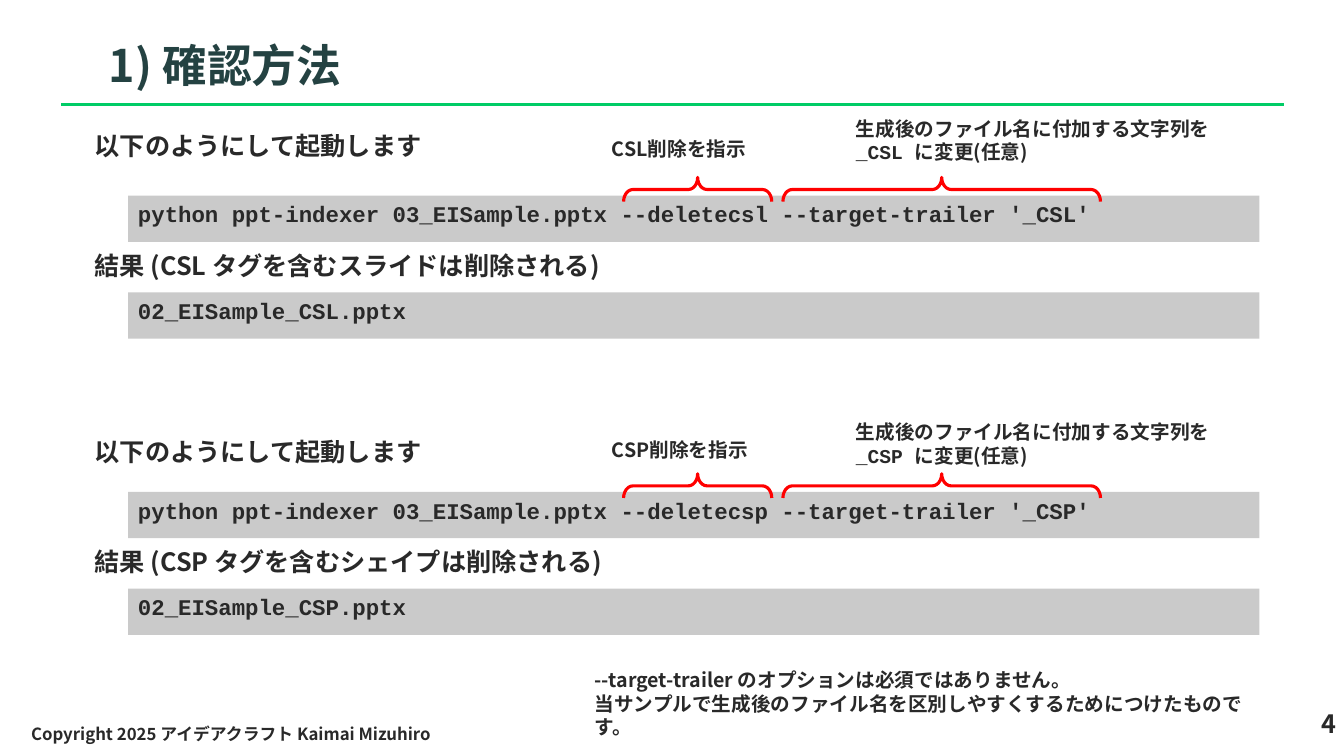
import pptx
import pptx.util
import pptx.dml.color
import pptx.enum.shapes
import pptx.enum.text
import pptx.oxml.ns
from lxml import etree
from pptx.util import Inches

COLORS = {"text": "292929", "title": "244242", "rule": "00CC66",
          "code": "CACACA", "brace": "FF0000"}
SANS, MONO = "Noto Sans CJK JP", "Courier New"
SHAPES = pptx.enum.shapes.MSO_SHAPE
ANCHOR = pptx.enum.text.MSO_ANCHOR
ALIGN = pptx.enum.text.PP_ALIGN

deck = pptx.Presentation()
deck.slide_width, deck.slide_height = Inches(13.33), Inches(7.5)
page = deck.slides.add_slide(deck.slide_layouts[6])


def color(name):
    return pptx.dml.color.RGBColor.from_string(COLORS[name])


def add_text(place, paragraphs, size, fill=None, ink="text",
             anchor=ANCHOR.TOP, align=ALIGN.LEFT):
    """Each paragraph is a list of (words, typeface) spans."""
    place = [Inches(length) for length in place]
    if fill:
        box = page.shapes.add_shape(SHAPES.RECTANGLE, *place)
        box.shadow.inherit = False
        box.fill.solid()
        box.fill.fore_color.rgb = color(fill)
        box.line.fill.background()
    else:
        box = page.shapes.add_textbox(*place)
    frame = box.text_frame
    frame.word_wrap = True
    frame.vertical_anchor = anchor
    for index, spans in enumerate(paragraphs):
        para = frame.paragraphs[0] if index == 0 else frame.add_paragraph()
        para.alignment = align
        para.font.size = pptx.util.Pt(size)
        para.font.bold = True
        para.font.color.rgb = color(ink)
        for words, typeface in spans:
            span = para.add_run()
            span.text = words
            span.font.size = pptx.util.Pt(size)
            span.font.bold = True
            span.font.color.rgb = color(ink)
            span.font.name = typeface
            east_asian = etree.SubElement(span.font._element, pptx.oxml.ns.qn("a:ea"))
            east_asian.set("typeface", SANS)


# Title and green rule
rule = page.shapes.add_connector(pptx.enum.shapes.MSO_CONNECTOR.STRAIGHT,
                                 Inches(0.61), Inches(1.04), Inches(12.73), Inches(1.04))
rule.line.color.rgb = color("rule")
rule.line.width = pptx.util.Pt(2.25)
etree.SubElement(rule._element.spPr, pptx.oxml.ns.qn("a:effectLst"))
add_text((0.98, 0.29, 11.98, 0.71), [[("1) 確認方法", SANS)]], 32,
         ink="title", anchor=ANCHOR.MIDDLE)

# One example per tag: command, result and marked options
examples = [
    # tag, what is deleted, top of command bar, tops of intro, option and trailer notes
    ("CSL", "スライド", 1.94, 1.24, 1.31, 1.11),
    ("CSP", "シェイプ", 4.88, 4.28, 4.30, 4.12),
]
for tag, target, top, intro_top, option_top, trailer_top in examples:
    command = f"python ppt-indexer 03_EISample.pptx --delete{tag.lower()} --target-trailer '_{tag}'"
    add_text((0.84, intro_top, 11.42, 0.46), [[("以下のようにして起動します", SANS)]], 18)
    add_text((1.27, top, 11.22, 0.46), [[(command, MONO)]], 16, fill="code")
    add_text((0.84, top + 0.49, 6.38, 0.46),
             [[(f"結果 ({tag} タグを含む{target}は削除される)", SANS)]], 18)
    add_text((1.27, top + 0.96, 11.22, 0.46), [[(f"02_EISample_{tag}.pptx", MONO)]], 16,
             fill="code")
    add_text((5.97, option_top, 2.2, 0.34), [[(f"{tag}削除を指示", SANS)]], 14)
    add_text((8.39, trailer_top, 3.82, 0.57),
             [[("生成後のファイル名に付加する文字列を ", SANS), (f"_{tag} ", MONO),
               ("に変更(任意)", SANS)]], 14)
    # Braces are turned upright: centre x and span along the command
    for middle, length in ((6.92, 1.47), (9.34, 3.15)):
        brace = page.shapes.add_shape(
            SHAPES.RIGHT_BRACE, Inches(middle - 0.12), Inches(top - 0.06 - length / 2),
            Inches(0.24), Inches(length))
        brace.rotation = 270
        brace.adjustments[0] = 0.386
        brace.shadow.inherit = False
        brace.fill.background()
        brace.line.color.rgb = color("brace")
        brace.line.width = pptx.util.Pt(2.25)

# Closing note, copyright and page number
add_text((5.8, 6.58, 6.77, 0.57),
         [[("--target-trailer のオプションは必須ではありません。", SANS)],
          [("当サンプルで生成後のファイル名を区別しやすくするためにつけたものです。", SANS)]], 14)
add_text((0.21, 7.08, 6.06, 0.4),
         [[("Copyright 2025 アイデアクラフト Kaimai Mizuhiro", SANS)]], 12, anchor=ANCHOR.MIDDLE)
add_text((11.71, 6.98, 1.64, 0.5), [[("4", SANS)]], 18, align=ALIGN.RIGHT)

deck.save("out.pptx")
